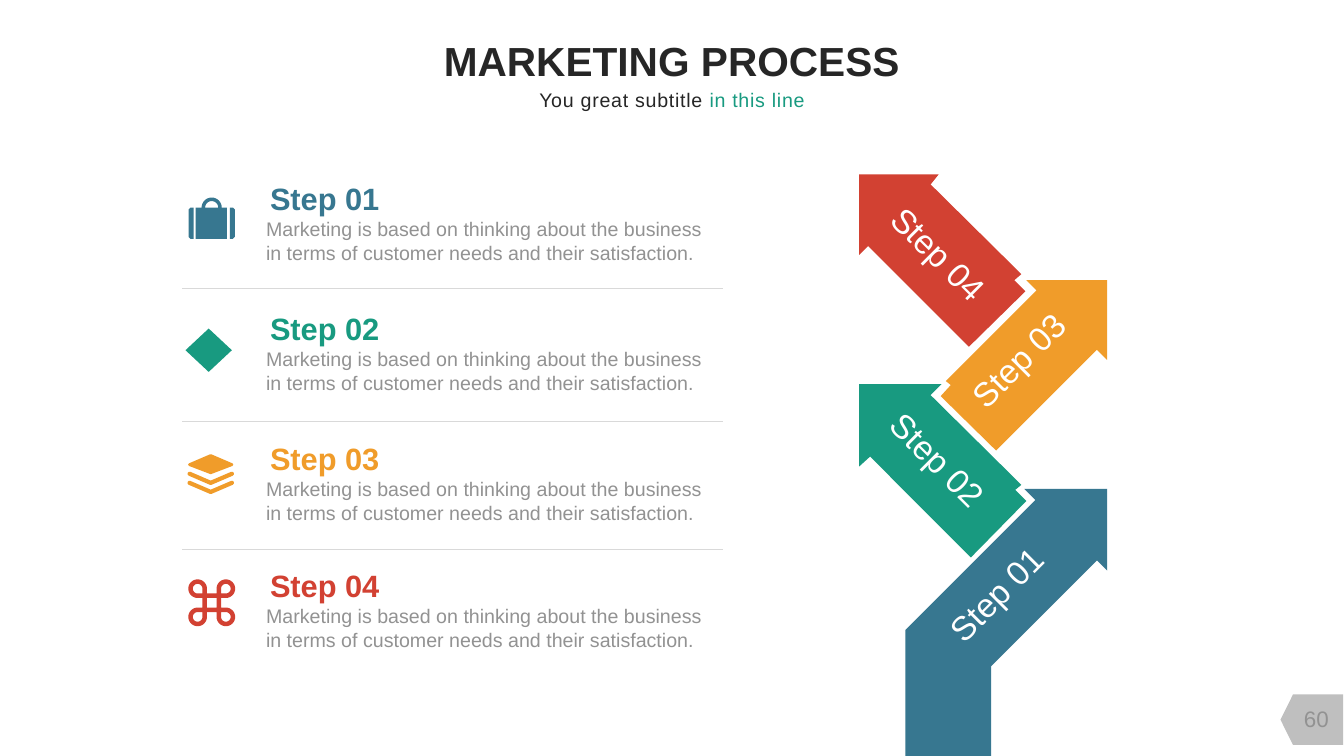
from math import cos, pi, sin

from pptx import Presentation
from pptx.dml.color import RGBColor
from pptx.enum.shapes import MSO_CONNECTOR, MSO_SHAPE
from pptx.enum.text import MSO_ANCHOR, PP_ALIGN
from pptx.oxml.ns import qn
from pptx.util import Inches, Pt
from lxml import etree

LEFT, CENTER = PP_ALIGN.LEFT, PP_ALIGN.CENTER
TOP, MIDDLE = MSO_ANCHOR.TOP, MSO_ANCHOR.MIDDLE
STRAIGHT = MSO_CONNECTOR.STRAIGHT
DIAMOND, PAGE_TAG = MSO_SHAPE.DIAMOND, MSO_SHAPE.FLOWCHART_OFFPAGE_CONNECTOR

COLORS = {
    "blue": "377790", "green": "189A80", "orange": "F09C2A", "red": "D24132",
    "dark": "262626", "gray": "929292", "rule": "D9D9D9", "tag": "BFBFBF",
    "white": "FFFFFF",
}
RGB = {name: RGBColor.from_string(value) for name, value in COLORS.items()}

prs = Presentation()
prs.slide_width, prs.slide_height = Inches(13.33), Inches(7.5)
s = prs.slides.add_slide(prs.slide_layouts[6])


def add_text(runs, x, y, w, h, size, bold=False, align=LEFT, anchor=TOP,
             spacing=None, wrap=True, inset=True, rotation=0, tracking=None):
    """Add a one-paragraph text box; runs is a list of (text, color)."""
    sp = s.shapes.add_textbox(Inches(x), Inches(y), Inches(w), Inches(h))
    sp.rotation = rotation
    tf = sp.text_frame
    tf.word_wrap, tf.vertical_anchor = wrap, anchor
    if not inset:
        tf.margin_left = tf.margin_right = tf.margin_top = tf.margin_bottom = 0
    p = tf.paragraphs[0]
    p.alignment, p.line_spacing = align, spacing
    for text, color in runs:
        r = p.add_run()
        r.text = text
        r.font.name, r.font.size, r.font.bold = "Arial", Pt(size), bold
        r.font.color.rgb = RGB[color]
        if tracking:
            r.font._element.set("spc", str(tracking))


def add_outline(contours, color, filled=True, stroke=None, closed=True):
    """Add a freeform from contours in inches, filled and/or stroked."""
    builder = None
    for contour in contours:
        start, *rest = [(Inches(x), Inches(y)) for x, y in contour]
        if builder is None:
            builder = s.shapes.build_freeform(*start, scale=1.0)
        else:
            builder.move_to(*start)
        builder.add_line_segments(rest, close=closed)
    sp = builder.convert_to_shape()
    sp.shadow.inherit = False
    if filled:
        sp.fill.solid()
        sp.fill.fore_color.rgb = RGB[color]
    else:
        sp.fill.background()
    if stroke:
        sp.line.color.rgb = RGB[color]
        sp.line.width = Pt(stroke)
        sp.element.spPr.find(qn("a:ln")).set("cap", "rnd")
    else:
        sp.line.fill.background()


# Page number
sp = s.shapes.add_shape(PAGE_TAG, Inches(12.76), Inches(6.83), Inches(0.5), Inches(0.62))
sp.rotation = 90
sp.shadow.inherit = False
sp.fill.solid()
sp.fill.fore_color.rgb = RGB["tag"]
sp.line.fill.background()
add_text([("60", "gray")], 12.72, 6.93, 0.67, 0.4, 16, align=CENTER, anchor=MIDDLE)

# Title and subtitle
add_text([("MARKETING PROCESS", "dark")], 4.38, 0.35, 4.57, 0.49, 29, bold=True,
         align=CENTER, anchor=MIDDLE, wrap=False, inset=False)
add_text([("You great subtitle ", "dark"), ("in this line", "green")],
         5.34, 0.87, 2.65, 0.24, 14, align=CENTER, anchor=MIDDLE, wrap=False,
         inset=False, tracking=50)

# Step list
BODY = ("Marketing is based on thinking about the business in terms of "
        "customer needs and their satisfaction.")
steps = [("Step 01", "blue", 1.79), ("Step 02", "green", 3.08),
         ("Step 03", "orange", 4.37), ("Step 04", "red", 5.63)]
for name, color, y in steps:
    add_text([(name, color)], 2.58, y, 1.3, 0.41, 22, bold=True,
             spacing=Pt(22), wrap=False)
    add_text([(BODY, "gray")], 2.54, y + 0.31, 4.59, 0.58, 14, spacing=Pt(17))

# Rules between the steps
for y in (2.86, 4.18, 5.45):
    rule = s.shapes.add_connector(STRAIGHT, Inches(1.81), Inches(y), Inches(7.17), Inches(y))
    rule.line.color.rgb = RGB["rule"]
    rule.line.width = Pt(1)
    etree.SubElement(rule._element.spPr, qn("a:effectLst"))

# Suitcase icon
half_turn = [pi - pi * i / 16 for i in range(17)]
handle, opening = [[(2.1 + r * cos(t), 2.06 - r * sin(t)) for t in half_turn]
                   for r in (0.1, 0.065)]
body = [(1.94, 2.37), (1.94, 2.06), *handle, (2.25, 2.06), (2.25, 2.37)]
left_side = [(1.92, 2.06), (1.89, 2.06), (1.87, 2.08), (1.87, 2.35),
             (1.89, 2.37), (1.92, 2.37)]
right_side = [(4.2 - x, y) for x, y in left_side]
add_outline([body, opening, left_side, right_side], "blue")

# Diamond icon
sp = s.shapes.add_shape(DIAMOND, Inches(1.84), Inches(3.26), Inches(0.46), Inches(0.43))
sp.shadow.inherit = False
sp.fill.solid()
sp.fill.fore_color.rgb = RGB["green"]
sp.line.fill.background()

# Layers icon
add_outline([[(1.88, 4.61), (2.09, 4.52), (2.3, 4.61), (2.09, 4.69)]], "orange", stroke=2)
for y in (4.7, 4.79):
    add_outline([[(1.88, y), (2.09, y + 0.09), (2.3, y)]], "orange",
                filled=False, stroke=3, closed=False)

# Looped square icon: four three-quarter circles joined by straight lines
loops = []
for k, (dx, dy) in enumerate([(-1, -1), (-1, 1), (1, 1), (1, -1)]):
    turn = 1 if k % 2 == 0 else -1
    start = pi / 2 if dy < 0 else -pi / 2
    arc = [start + turn * 1.5 * pi * i / 24 for i in range(25)]
    points = [(2.1 + 0.14 * dx + 0.07 * cos(t), 5.98 + 0.14 * dy + 0.07 * sin(t))
              for t in arc]
    loops += points if k % 2 == 0 else points[::-1]
add_outline([loops], "red", filled=False, stroke=3.2)

# Arrows climbing from the bottom, each with its slanted label
arrows = [
    ("Step 01", "blue", (9.15, 5.51), 315,
     [(10.98, 5.66), (10.88, 5.56), (9.83, 6.61), (9.83, 7.5), (8.98, 7.5),
      (8.98, 6.25), (10.27, 4.96), (10.16, 4.85), (10.98, 4.85)]),
    ("Step 02", "green", (8.53, 4.54), 45,
     [(9.23, 3.92), (10.13, 4.81), (10.07, 4.86), (10.18, 4.97), (9.63, 5.53),
      (8.63, 4.53), (8.52, 4.63), (8.52, 3.81), (9.34, 3.81)]),
    ("Step 03", "orange", (9.37, 3.19), 315,
     [(10.98, 3.57), (10.88, 3.47), (9.88, 4.47), (9.33, 3.93), (9.43, 3.82),
      (9.38, 3.78), (10.28, 2.88), (10.18, 2.78), (10.98, 2.78)]),
    ("Step 04", "red", (8.54, 2.5), 45,
     [(9.23, 1.83), (10.13, 2.72), (10.06, 2.78), (10.17, 2.89), (9.61, 3.44),
      (8.61, 2.44), (8.52, 2.53), (8.52, 1.73), (9.31, 1.73)]),
]
for name, color, (x, y), rotation, outline in arrows:
    add_outline([outline], color)
    add_text([(name, "white")], x, y, 1.86, 0.44, 24, spacing=0.85, rotation=rotation)

prs.save("out.pptx")
